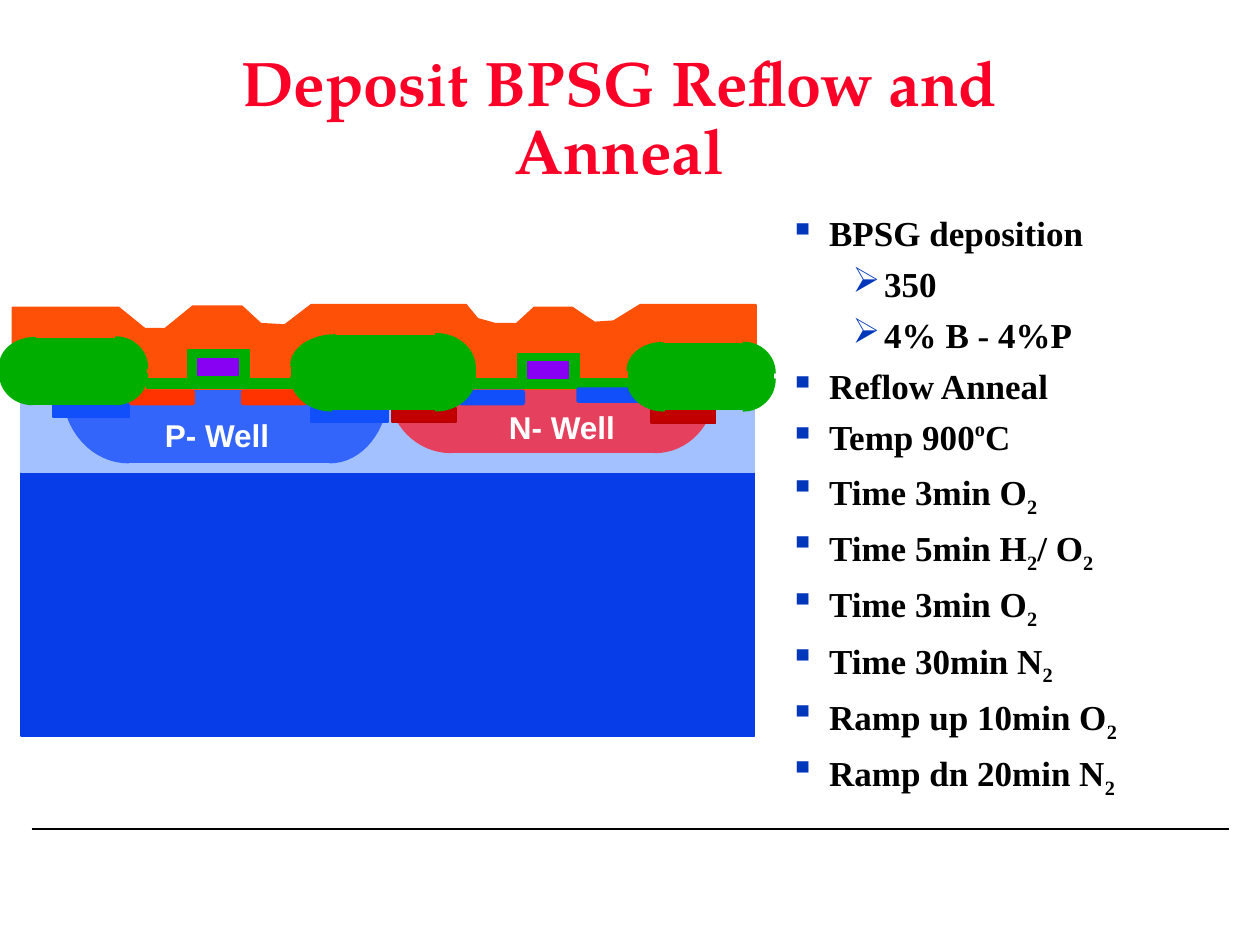
from dataclasses import dataclass
from math import cos, pi, sin
from typing import NamedTuple

from lxml.etree import SubElement
from pptx import Presentation
from pptx.dml.color import RGBColor
from pptx.enum.shapes import MSO_CONNECTOR, MSO_SHAPE
from pptx.enum.text import MSO_ANCHOR, MSO_AUTO_SIZE, PP_ALIGN
from pptx.oxml.ns import qn
from pptx.util import Pt

BLACK = RGBColor(0x00, 0x00, 0x00)
WHITE = RGBColor(0xFF, 0xFF, 0xFF)
TITLE_RED = RGBColor(0xFC, 0x01, 0x28)
BULLET_BLUE = RGBColor(0x02, 0x37, 0xBC)
BPSG_ORANGE = RGBColor(0xFF, 0x50, 0x08)
SUBSTRATE_BLUE = RGBColor(0x06, 0x3D, 0xE8)
EPI_BLUE = RGBColor(0xA2, 0xC1, 0xFE)
N_WELL_RED = RGBColor(0xE5, 0x40, 0x5D)
P_WELL_BLUE = RGBColor(0x33, 0x65, 0xFB)
OXIDE_GREEN = RGBColor(0x00, 0xAE, 0x00)
P_IMPLANT_BLUE = RGBColor(0x11, 0x4F, 0xFB)
STOP_RED = RGBColor(0xC2, 0x00, 0x00)
STOP_EDGE_RED = RGBColor(0xBA, 0x00, 0x00)
GATE_PURPLE = RGBColor(0x89, 0x01, 0xF3)
N_IMPLANT_RED = RGBColor(0xFF, 0x33, 0x00)

ARC_STEPS = 16


class Span(NamedTuple):
    text: str
    baseline: int = 0


class Corner(NamedTuple):
    x: float
    y: float
    radius_x: float
    radius_y: float


@dataclass(frozen=True)
class Block:
    left: float
    top: float
    width: float
    height: float
    color: RGBColor
    edge: RGBColor | None = None
    rounded: bool = False


@dataclass(frozen=True)
class RoundedRegion:
    corners: tuple[Corner, ...]
    blocks: tuple[Block, ...]


@dataclass(frozen=True)
class Step:
    spans: tuple[Span, ...]
    level: int = 0


SUB_TWO = Span("2", -25)
STEPS = (
    Step((Span("BPSG deposition"),)),
    Step((Span("350"),), 1),
    Step((Span("4% B - 4%P"),), 1),
    Step((Span("Reflow Anneal"),)),
    Step((Span("Temp 900"), Span("o", 40), Span("C"))),
    Step((Span("Time 3min O"), SUB_TWO)),
    Step((Span("Time 5min H"), SUB_TWO, Span("/ O"), SUB_TWO)),
    Step((Span("Time 3min O"), SUB_TWO)),
    Step((Span("Time 30min N"), SUB_TWO)),
    Step((Span("Ramp up 10min O"), SUB_TWO)),
    Step((Span("Ramp dn 20min N"), SUB_TWO)),
)
BULLETS = (("▪", 22.5, 22.5), ("➢", 54, 18))

BPSG_SURFACE = (
    (7.2, 223.9), (7.2, 175.7), (67.7, 175.7), (82.8, 187.9), (94.3, 187.9),
    (110.2, 175), (138.2, 175), (149, 185), (162.7, 185.8), (177.8, 174.2),
    (266.4, 174.2), (272.9, 182.2), (283, 185), (295.2, 185), (305.3, 175.7),
    (326.9, 175.7), (339.8, 184.3), (350.6, 183.6), (365.8, 174.2),
    (432, 174.2), (432, 228.2), (433.4, 228.2),
)
WAFER = (
    Block(12.2, 223.2, 419, 197.3, SUBSTRATE_BLUE),
    Block(12.2, 223.2, 419, 46.8, EPI_BLUE),
)
WELLS = (
    RoundedRegion(
        (Corner(257.8, 222.5, -35.3, 36), Corner(374.4, 222.5, 33.8, 36)),
        (Block(255.6, 223.2, 118.8, 35.3, N_WELL_RED),),
    ),
    RoundedRegion(
        (Corner(73.4, 222.5, -37.4, 41.8), Corner(188.6, 222.5, 33.1, 41.8)),
        (Block(69.8, 223.2, 118.8, 41, P_WELL_BLUE),),
    ),
)
DEVICES = (
    *(Block(left, 216.7, 89.3, 5, OXIDE_GREEN) for left in (84.2, 270.7)),
    Block(262.8, 223.2, 36.7, 7.9, P_IMPLANT_BLUE, rounded=True),
    Block(177.8, 233.3, 43.9, 7.9, P_IMPLANT_BLUE),
    Block(30.2, 230.4, 43.9, 7.9, P_IMPLANT_BLUE),
    Block(223.9, 233.3, 36.7, 7.9, STOP_RED, STOP_EDGE_RED),
    Block(372.2, 234, 36.7, 7.9, STOP_RED, STOP_EDGE_RED),
    Block(107.3, 200.2, 35.3, 18.7, OXIDE_GREEN),
    Block(113, 205.2, 23, 9.4, GATE_PURPLE),
    Block(295.9, 202.3, 35.3, 18.7, OXIDE_GREEN),
    Block(301.7, 206.6, 23, 9.4, GATE_PURPLE),
    Block(329.8, 221.8, 36.7, 7.9, P_IMPLANT_BLUE, rounded=True),
    *(Block(left, 223.2, 36.7, 7.9, N_IMPLANT_RED, rounded=True) for left in (74.2, 138.2)),
)
FIELD_OXIDES = (
    RoundedRegion(
        (Corner(18.7, 213.8, -18.7, 17.3), Corner(66.2, 213.8, 18, 17.3),
         Corner(66.2, 210.2, 18, -17.5), Corner(20.2, 208.8, -20.2, -15.8)),
        (Block(0.7, 208.8, 82.8, 5.8, OXIDE_GREEN), Block(18.7, 193.7, 46.8, 37.4, OXIDE_GREEN)),
    ),
    RoundedRegion(
        (Corner(189.4, 215.3, -23, 19.4), Corner(249.1, 215.3, 22.3, 19.4),
         Corner(249.1, 210.2, 22.3, -19.4), Corner(191.5, 208.8, -25.2, -17.3)),
        (Block(167, 208.8, 104.4, 6.5, OXIDE_GREEN), Block(190.1, 192.2, 59, 41.8, OXIDE_GREEN)),
    ),
    RoundedRegion(
        (Corner(379.4, 216.7, -20.9, 18), Corner(424.8, 216.7, 18, 18),
         Corner(424.8, 213.1, 18, -17.3), Corner(378.7, 211.7, -20.2, -15.8)),
        (Block(359.3, 211.7, 82.8, 5.8, OXIDE_GREEN), Block(377.3, 196.6, 46.8, 37.4, OXIDE_GREEN)),
    ),
)


def paint(shape, color: RGBColor, edge: RGBColor | None = None) -> None:
    shape.shadow.inherit = False
    shape.fill.solid()
    shape.fill.fore_color.rgb = color
    shape.line.color.rgb = edge or color
    shape.line.width = Pt(1)


def draw_block(page, block: Block) -> None:
    kind = MSO_SHAPE.ROUNDED_RECTANGLE if block.rounded else MSO_SHAPE.RECTANGLE
    shape = page.shapes.add_shape(
        kind, Pt(block.left), Pt(block.top), Pt(block.width), Pt(block.height))
    if block.rounded:
        shape.adjustments[0] = 0.125
    paint(shape, block.color, block.edge)


def draw_outline(page, points, color: RGBColor, close: bool) -> None:
    start, *rest = [(Pt(x), Pt(y)) for x, y in points]
    builder = page.shapes.build_freeform(*start)
    builder.add_line_segments(rest, close=close)
    paint(builder.convert_to_shape(), color)


def draw_region(page, region: RoundedRegion) -> None:
    for corner in region.corners:
        angles = [pi / 2 * step / ARC_STEPS for step in range(ARC_STEPS + 1)]
        arc = [(corner.x + corner.radius_x * cos(angle), corner.y + corner.radius_y * sin(angle))
               for angle in angles]
        draw_outline(page, [(corner.x, corner.y), *arc], region.blocks[0].color, True)
    for block in region.blocks:
        draw_block(page, block)


def write_text(para, text: str, *, size: float, font: str, color: RGBColor, baseline: int = 0) -> None:
    span = para.add_run()
    span.text = text
    span.font.size = Pt(size)
    span.font.name = font
    span.font.bold = True
    span.font.color.rgb = color
    if baseline:
        span.font._element.set("baseline", str(baseline * 1000))


def add_box(page, left: float, top: float, width: float, height: float, wrap: bool):
    box = page.shapes.add_textbox(Pt(left), Pt(top), Pt(width), Pt(height))
    box.text_frame.word_wrap = wrap
    return box.text_frame


def add_bullet(para, level: int) -> None:
    symbol, margin, hanging = BULLETS[level]
    properties = para._p.get_or_add_pPr()
    properties.set("marL", str(Pt(margin)))
    properties.set("indent", str(-Pt(hanging)))
    color = SubElement(properties, qn("a:buClr"))
    SubElement(color, qn("a:srgbClr"), val=str(BULLET_BLUE))
    SubElement(properties, qn("a:buChar"), char=symbol)


def write_steps(page) -> None:
    frame = add_box(page, 444.2, 120.2, 252, 358.6, True)
    for index, step in enumerate(STEPS):
        para = frame.add_paragraph() if index else frame.paragraphs[0]
        add_bullet(para, step.level)
        para.level = step.level
        para.line_spacing = 0.9
        para.space_before = Pt(7.5 if index else 0)
        for span in step.spans:
            write_text(para, span.text, size=20, font="Times New Roman",
                       color=BLACK, baseline=span.baseline)


def write_title(page) -> None:
    title = page.shapes.title
    title.left, title.top, title.width, title.height = Pt(72), Pt(23.8), Pt(563.8), Pt(90)
    title.text_frame.auto_size = MSO_AUTO_SIZE.NONE
    title.text_frame.vertical_anchor = MSO_ANCHOR.MIDDLE
    para = title.text_frame.paragraphs[0]
    para.alignment = PP_ALIGN.CENTER
    para.line_spacing = 0.9
    write_text(para, "Deposit BPSG Reflow and Anneal", size=36,
               font="TeX Gyre Pagella", color=TITLE_RED)


def draw_rule(page) -> None:
    rule = page.shapes.add_connector(MSO_CONNECTOR.STRAIGHT, Pt(18), Pt(473.8), Pt(702), Pt(473.8))
    rule.line.color.rgb = BLACK
    rule.line.width = Pt(1)
    SubElement(rule._element.spPr, qn("a:effectLst"))


def main() -> None:
    deck = Presentation()
    deck.slide_width, deck.slide_height = Pt(720), Pt(540)
    page = deck.slides.add_slide(deck.slide_layouts[5])
    draw_rule(page)
    write_title(page)
    write_steps(page)
    draw_outline(page, BPSG_SURFACE, BPSG_ORANGE, False)
    for block in WAFER:
        draw_block(page, block)
    for well in WELLS:
        draw_region(page, well)
    for label, left, top in (("P- Well", 87.1, 234), ("N- Well", 283.7, 229.7)):
        frame = add_box(page, left, top, 75.2, 28.8, False)
        write_text(frame.paragraphs[0], label, size=18, font="Arial", color=WHITE)
    for block in DEVICES:
        draw_block(page, block)
    for oxide in FIELD_OXIDES:
        draw_region(page, oxide)
    deck.save("out.pptx")


if __name__ == "__main__":
    main()
